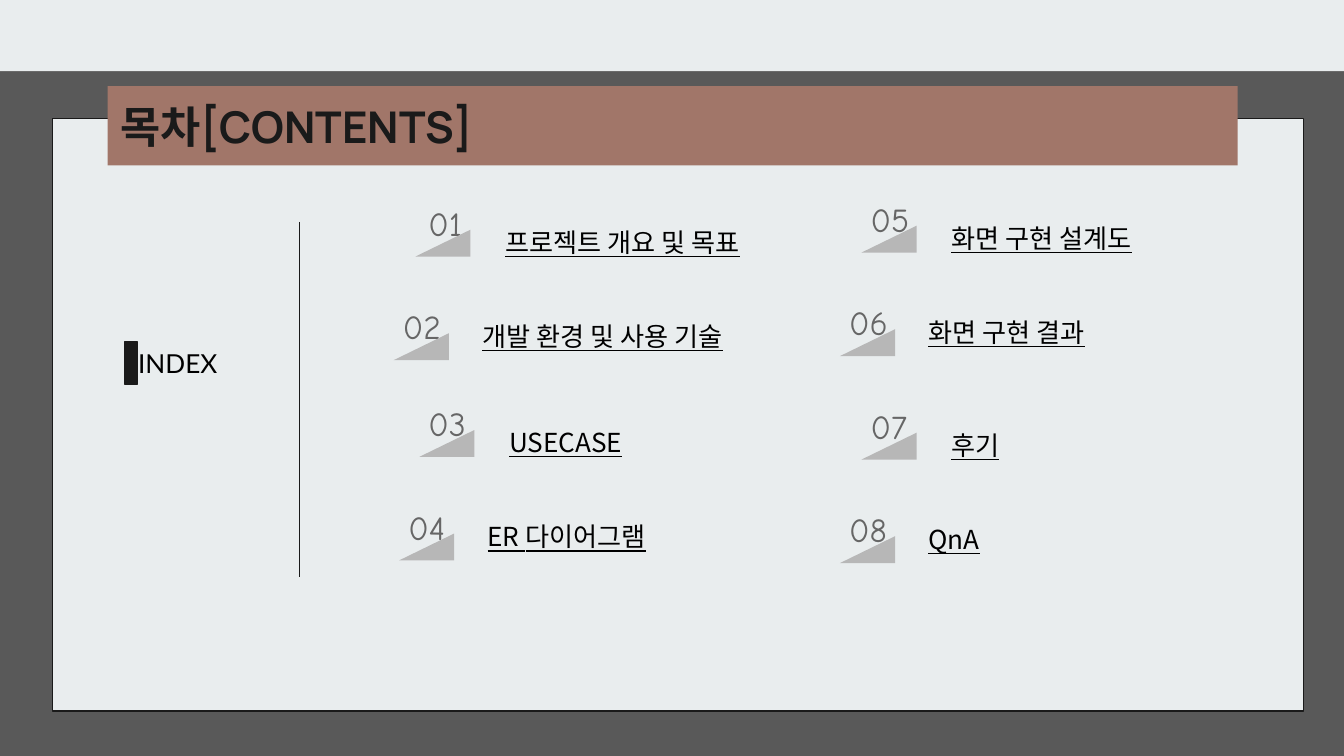
import pptx
import pptx.dml.color
import pptx.enum.shapes
import pptx.enum.text
import pptx.oxml.ns
import pptx.util
from lxml import etree

Inches = pptx.util.Inches
Pt = pptx.util.Pt
ShapeKind = pptx.enum.shapes.MSO_SHAPE

COLOURS = {
    "backdrop": "595959",
    "paper": "E9EDEE",
    "ink": "1A1A1A",
    "banner": "A17669",
    "number": "666666",
    "triangle": "B7B7B7",
    "label": "000000",
}
LEFT_ENTRIES = [
    ("01", "프로젝트 개요 및 목표", 3.09, 1.71),
    ("02", "개발 환경 및 사용 기술", 2.93, 2.48),
    ("03", "USECASE", 3.12, 3.2),
    ("04", "ER 다이어그램", 2.97, 3.97),
]
RIGHT_TITLES = ["화면 구현 설계도", "화면 구현 결과", "후기", "QnA"]


def colour(name):
    """Return the named colour."""
    return pptx.dml.color.RGBColor.from_string(COLOURS[name])


def add_block(page, kind, box, fill, line=None):
    """Add a filled preset shape, outlined if a line colour is given."""
    shape = page.shapes.add_shape(kind, *map(Inches, box))
    shape.shadow.inherit = False
    shape.fill.solid()
    shape.fill.fore_color.rgb = colour(fill)
    if line:
        shape.line.color.rgb = colour(line)
        shape.line.width = Pt(0.75)
    else:
        shape.line.fill.background()
    return shape


def write(shape, text, font, size, ink, bold=None, underline=None, grow=False):
    """Write one left-aligned, vertically centred run into a shape."""
    frame = shape.text_frame
    frame.word_wrap = True
    frame.vertical_anchor = pptx.enum.text.MSO_ANCHOR.MIDDLE
    frame.margin_left = frame.margin_right = Inches(0.1)
    frame.margin_top = frame.margin_bottom = Inches(0.1)
    if grow:
        frame.auto_size = pptx.enum.text.MSO_AUTO_SIZE.SHAPE_TO_FIT_TEXT
    para = frame.paragraphs[0]
    para.alignment = pptx.enum.text.PP_ALIGN.LEFT
    span = para.add_run()
    span.text = text
    span.font.name = font
    span.font.size = Pt(size)
    span.font.bold = bold
    span.font.underline = underline
    span.font.color.rgb = colour(ink)
    east_asian = etree.SubElement(span.font._element, pptx.oxml.ns.qn("a:ea"))
    east_asian.set("typeface", font)


def add_frame(page, width):
    """Draw the backdrop, the top strip and the paper panel."""
    page.background.fill.solid()
    page.background.fill.fore_color.rgb = colour("backdrop")
    add_block(page, ShapeKind.RECTANGLE, (0, 0, width, 0.53), "paper")
    add_block(page, ShapeKind.RECTANGLE, (0.39, 0.88, 9.31, 4.41), "paper", "ink")


def add_banner(page, box):
    """Draw the title banner."""
    banner = add_block(page, ShapeKind.RECTANGLE, box, "banner")
    write(banner, "목차[CONTENTS]", "Manrope", 23.4, "ink", bold=True)


def add_entry(page, left, top, number, title, label_offset):
    """Draw a numbered entry around its triangle at left, top."""
    inset = 0 if number == "01" else 0.03
    number_box = add_block(
        page, ShapeKind.RECTANGLE, (left - inset, top - 0.3, 0.5 + inset, 0.5), "paper")
    write(number_box, number, "Comic Neue", 18, "number")
    triangle = add_block(
        page, ShapeKind.RIGHT_TRIANGLE, (left, top, 0.41, 0.2), "triangle")
    triangle._element.spPr.xfrm.set("flipH", "1")
    across, rise = label_offset
    label = add_block(
        page, ShapeKind.RECTANGLE, (left + across, top - rise, 2.23, 0.44), "paper")
    write(label, title, "Noto Sans CJK KR", 14, "label", underline=True, grow=True)


def add_entries(page):
    """Place both columns of entries, with every second one staggered."""
    right_entries = [
        (f"{row + 5:02}", title, 6.41 - 0.16 * (row % 2), 1.68 + 0.77 * row)
        for row, title in enumerate(RIGHT_TITLES)
    ]
    for column in (LEFT_ENTRIES, right_entries):
        for row, (number, title, left, top) in enumerate(column):
            label_offset = (0.56, 0.2) if row % 2 else (0.57, 0.13)
            add_entry(page, left, top, number, title, label_offset)


def add_index(page, left, top):
    """Draw the index caption, its marker and the divider."""
    caption = page.shapes.add_textbox(
        Inches(left), Inches(top), Inches(1.24), Inches(0.44))
    write(caption, "INDEX", "Lato", 14, "label", grow=True)
    divider_left = Inches(left + 1.3)
    divider = page.shapes.add_connector(
        pptx.enum.shapes.MSO_CONNECTOR.STRAIGHT,
        divider_left, Inches(top - 0.83), divider_left, Inches(top + 1.81))
    divider.line.color.rgb = colour("ink")
    divider.line.width = Pt(0.75)
    etree.SubElement(divider._element.spPr, pptx.oxml.ns.qn("a:effectLst"))
    add_block(page, ShapeKind.RECTANGLE, (left, top + 0.06, 0.09, 0.32), "ink", "ink")


def main():
    """Build and save the contents slide."""
    deck = pptx.Presentation()
    deck.slide_width = Inches(10)
    deck.slide_height = deck.slide_width * 9 // 16
    page = deck.slides.add_slide(deck.slide_layouts[6])
    add_frame(page, 10)
    add_banner(page, (0.8, 0.64, 8.41, 0.59))
    add_entries(page)
    add_index(page, 0.93, 2.48)
    deck.save("out.pptx")


if __name__ == "__main__":
    main()
